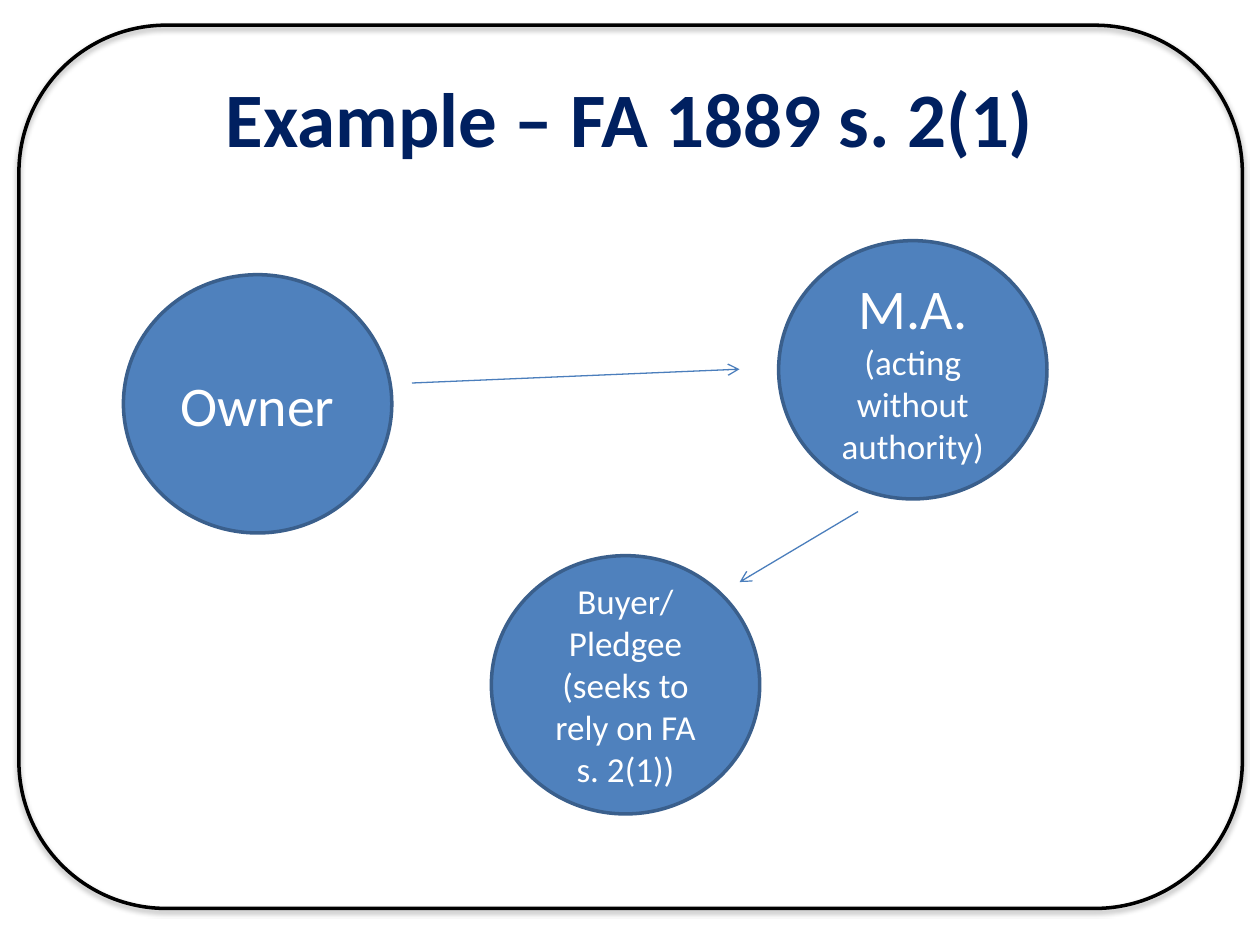
from lxml.etree import SubElement
from pptx import Presentation
from pptx.dml.color import RGBColor
from pptx.enum.shapes import MSO_CONNECTOR as Connector, MSO_SHAPE as Shape
from pptx.enum.text import MSO_ANCHOR as Anchor, PP_ALIGN as Align
from pptx.oxml.ns import qn
from pptx.util import Inches, Pt

NAVY, BLUE, BLUE_EDGE, ARROW_BLUE = "002060", "4F81BD", "3A5F8C", "4B7EBC"
WHITE, BLACK = "FFFFFF", "000000"
PARTY_SIZE = (2.13, 2.05)


def color(hex_value):
    return RGBColor.from_string(hex_value)


def set_line(line, hex_value, width):
    line.color.rgb = color(hex_value)
    line.width = Pt(width)


def write(frame, lines, hex_value, bold=False):
    frame.word_wrap = True
    frame.vertical_anchor = Anchor.MIDDLE
    for index, (words, size) in enumerate(lines):
        paragraph = frame.add_paragraph() if index else frame.paragraphs[0]
        paragraph.alignment = Align.CENTER
        run = paragraph.add_run()
        run.text = words
        font_format = {"name": "Calibri", "size": Pt(size), "bold": bold}
        for name, value in font_format.items():
            setattr(run.font, name, value)
        run.font.color.rgb = color(hex_value)


def add_frame(slide):
    border = slide.shapes.add_shape(
        Shape.ROUNDED_RECTANGLE, *map(Inches, (0.15, 0.2, 9.71, 7.01)))
    border.fill.background()
    set_line(border.line, BLACK, 2)
    border.shadow.inherit = False
    effects = border._element.spPr.find(qn("a:effectLst"))
    shadow = SubElement(effects, qn("a:outerShdw"), blurRad=str(Pt(3.1)),
                        dist=str(Pt(1.8)), dir="5400000", rotWithShape="0")
    tint = SubElement(shadow, qn("a:srgbClr"), val=BLACK)
    SubElement(tint, qn("a:alpha"), val="35000")


def add_title(slide, words):
    title = slide.shapes.add_textbox(*map(Inches, (0.5, 0.3, 9, 1.25)))
    write(title.text_frame, [(words, 44)], NAVY, bold=True)


def add_party(slide, left, top, lines):
    party = slide.shapes.add_shape(
        Shape.OVAL, *map(Inches, (left, top, *PARTY_SIZE)))
    party.shadow.inherit = False
    party.fill.solid()
    party.fill.fore_color.rgb = color(BLUE)
    set_line(party.line, BLUE_EDGE, 2)
    write(party.text_frame, lines, WHITE)


def add_arrow(slide, start, end):
    arrow = slide.shapes.add_connector(
        Connector.STRAIGHT, *map(Inches, (*start, *end)))
    set_line(arrow.line, ARROW_BLUE, 0.75)
    SubElement(arrow.line._get_or_add_ln(), qn("a:tailEnd"), type="arrow")
    SubElement(arrow._element.spPr, qn("a:effectLst"))


def main():
    deck = Presentation()
    deck.slide_width, deck.slide_height = Inches(10), Inches(7.5)
    slide = deck.slides.add_slide(deck.slide_layouts[6])
    add_frame(slide)
    add_title(slide, "Example – FA 1889 s. 2(1)")
    add_party(slide, 0.98, 2.18, [("Owner", 32)])
    add_party(slide, 6.18, 1.91,
              [("M.A.", 32), ("(acting without authority)", 20)])
    add_party(slide, 3.9, 4.41,
              [("Buyer/Pledgee (seeks to rely on FA s. 2(1))", 20)])
    add_arrow(slide, (3.27, 3.04), (5.87, 2.93))
    add_arrow(slide, (6.81, 4.06), (5.87, 4.62))
    deck.save("out.pptx")


if __name__ == "__main__":
    main()
